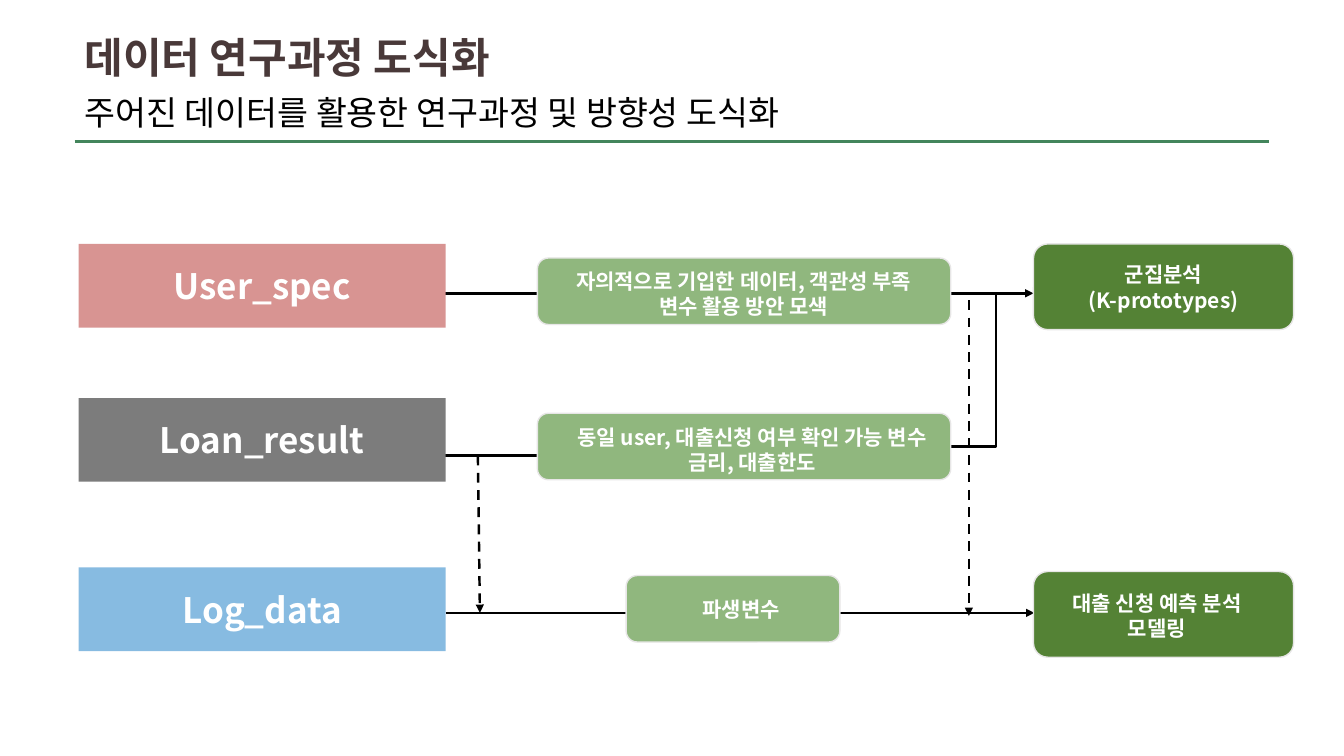
from dataclasses import dataclass

from lxml import etree
from pptx import Presentation
from pptx.dml.color import RGBColor
from pptx.enum.dml import MSO_LINE
from pptx.enum.shapes import MSO_CONNECTOR, MSO_SHAPE
from pptx.enum.text import MSO_ANCHOR, PP_ALIGN
from pptx.oxml.ns import qn
from pptx.util import Emu, Pt

RECT = MSO_SHAPE.RECTANGLE
ROUNDED = MSO_SHAPE.ROUNDED_RECTANGLE
STRAIGHT = MSO_CONNECTOR.STRAIGHT
ELBOW = MSO_CONNECTOR.ELBOW
DASH = MSO_LINE.DASH
LEFT, CENTER = PP_ALIGN.LEFT, PP_ALIGN.CENTER
TOP, MIDDLE = MSO_ANCHOR.TOP, MSO_ANCHOR.MIDDLE

PX = 9144  # 100 px to the inch
FONT = "Noto Sans CJK KR"
COLORS = {
    "white": "FFFFFF", "black": "000000", "title": "493939", "rule": "43855C",
    "user": "D89492", "loan": "7C7C7C", "log": "0070C0",
    "step": "90B77E", "result": "548235", "border": "E7E6E6",
}


@dataclass(frozen=True)
class Text:
    lines: tuple[str, ...]
    size: int
    color: str = "white"
    bold: bool = True
    align: PP_ALIGN = CENTER
    anchor: MSO_ANCHOR = TOP
    font: str = FONT


@dataclass(frozen=True)
class Box:
    left: int
    top: int
    width: int
    height: int
    fill: str | None = None
    text: Text | None = None
    form: MSO_SHAPE = RECT
    border: str | None = None
    alpha: int = 100


@dataclass(frozen=True)
class Line:
    x1: int
    y1: int
    x2: int
    y2: int
    color: str = "black"
    weight: float = 1.75
    arrow: bool = True
    dashed: bool = False
    bent: bool = False


def px(value: int) -> Emu:
    return Emu(value * PX)


def rgb(name: str) -> RGBColor:
    return RGBColor.from_string(COLORS[name])


def write(frame, text: Text) -> None:
    frame.word_wrap = True
    frame.vertical_anchor = text.anchor
    for index, line in enumerate(text.lines):
        paragraph = frame.paragraphs[0] if index == 0 else frame.add_paragraph()
        paragraph.text = line
        paragraph.alignment = text.align
        font = paragraph.font
        font.name, font.size, font.bold = text.font, Pt(text.size), text.bold
        font.color.rgb = rgb(text.color)
        # Hangul takes the East Asian typeface
        latin = paragraph._p.pPr.find(qn("a:defRPr")).find(qn("a:latin"))
        east_asian = etree.Element(qn("a:ea"), typeface=FONT)
        latin.addnext(east_asian)


def draw_box(shapes, box: Box) -> None:
    place = [px(v) for v in (box.left, box.top, box.width, box.height)]
    if box.fill is None:
        shape = shapes.add_textbox(*place)
    else:
        shape = shapes.add_shape(box.form, *place)
        shape.shadow.inherit = False
        shape.fill.solid()
        shape.fill.fore_color.rgb = rgb(box.fill)
        if box.alpha < 100:
            color = shape._element.spPr.find(qn("a:solidFill"))[0]
            etree.SubElement(color, qn("a:alpha"), val=str(box.alpha * 1000))
        if box.border:
            shape.line.color.rgb = rgb(box.border)
            shape.line.width = Pt(1)
        else:
            shape.line.fill.background()
    if box.text:
        write(shape.text_frame, box.text)


def draw_line(shapes, line: Line) -> None:
    ends = [px(v) for v in (line.x1, line.y1, line.x2, line.y2)]
    connector = shapes.add_connector(ELBOW if line.bent else STRAIGHT, *ends)
    connector.line.color.rgb = rgb(line.color)
    connector.line.width = Pt(line.weight)
    if line.dashed:
        connector.line.dash_style = DASH
    properties = connector._element.spPr
    if line.bent:
        properties.find(qn("a:prstGeom")).set("prst", "bentConnector2")
    if line.arrow:
        etree.SubElement(properties.find(qn("a:ln")), qn("a:tailEnd"), type="triangle")
    etree.SubElement(properties, qn("a:effectLst"))


def dataset(top: int, name: str, fill: str, alpha: int = 100) -> Box:
    return Box(78, top, 364, 83, fill, Text((name,), 25, anchor=MIDDLE), alpha=alpha)


def step(left: int, top: int, width: int) -> Box:
    return Box(left, top, width, 66, "step", form=ROUNDED, border="border")


def result(top: int) -> Box:
    return Box(1025, top, 258, 85, "result", form=ROUNDED, border="border")


def caption(left: int, top: int, width: int, *lines: str) -> Box:
    return Box(left, top, width, 35 if len(lines) == 1 else 61, text=Text(lines, 15))


LINES = [
    Line(74, 140, 1259, 140, "rule", 2, arrow=False),
    Line(441, 291, 1025, 291),
    Line(441, 452, 931, 452),
    Line(442, 608, 1026, 608),
    Line(931, 443, 988, 291, arrow=False, bent=True),
    Line(961, 298, 961, 611, dashed=True),
    Line(474, 452, 476, 608, dashed=True),
]

BOXES = [
    # Heading
    Box(74, 26, 944, 61, "white",
        Text(("데이터 연구과정 도식화",), 30, "title", align=LEFT, font="Arial")),
    Box(74, 86, 1171, 50, text=Text(
        ("주어진 데이터를 활용한 연구과정 및 방향성 도식화",), 24, "black", False, LEFT)),
    # Source data
    dataset(242, "User_spec", "user"),
    dataset(395, "Loan_result", "loan"),
    dataset(563, "Log_data", "log", alpha=47),
    # Intermediate steps
    step(533, 256, 410),
    caption(542, 261, 391, "자의적으로 기입한 데이터, 객관성 부족", "변수 활용 방안 모색"),
    step(533, 410, 410),
    caption(542, 416, 408, "동일 user, 대출신청 여부 확인 가능 변수", "금리, 대출한도"),
    step(621, 571, 212),
    caption(531, 587, 408, "파생변수"),
    # Analyses
    result(242),
    caption(785, 255, 738, "군집분석", "(K-prototypes)"),
    result(567),
    caption(982, 581, 331, "대출 신청 예측 분석", "모델링"),
]


def main() -> None:
    deck = Presentation()
    deck.slide_width, deck.slide_height = px(1333), px(750)
    shapes = deck.slides.add_slide(deck.slide_layouts[6]).shapes
    for line in LINES:
        draw_line(shapes, line)
    for box in BOXES:
        draw_box(shapes, box)
    deck.save("out.pptx")


if __name__ == "__main__":
    main()
